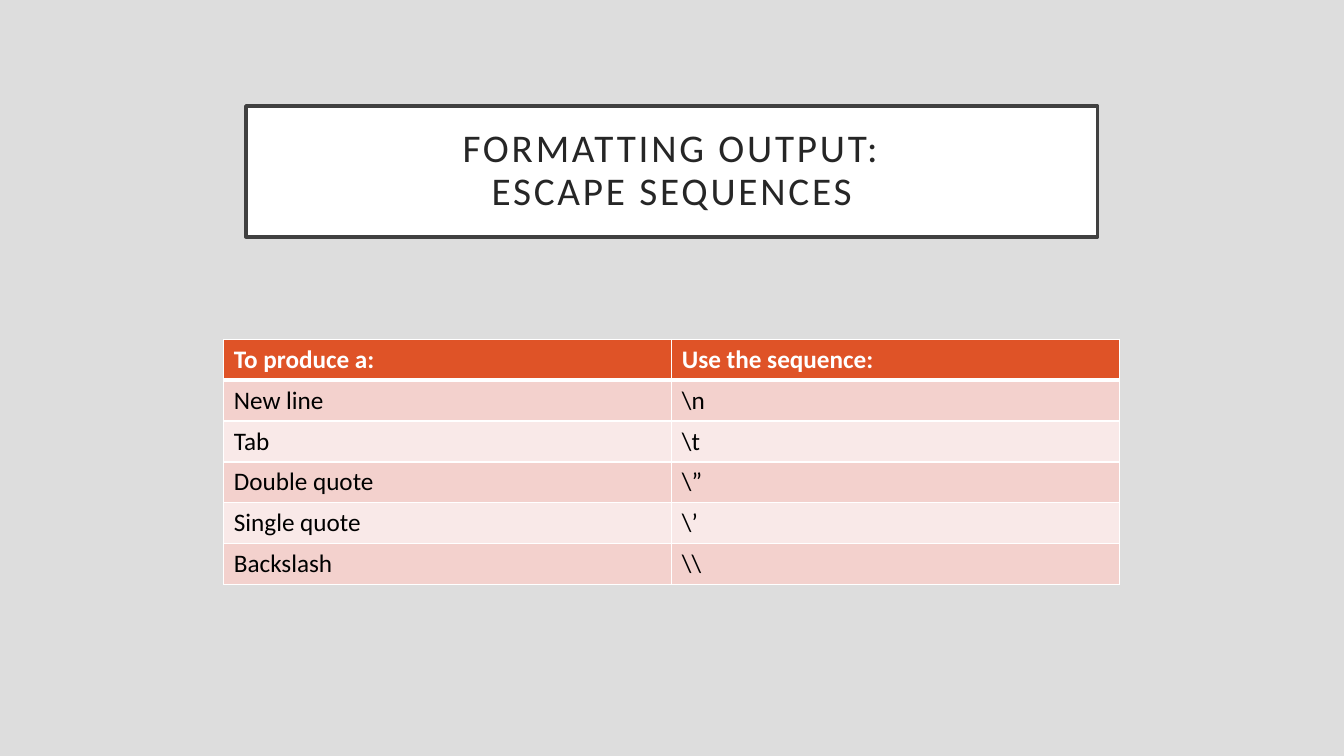
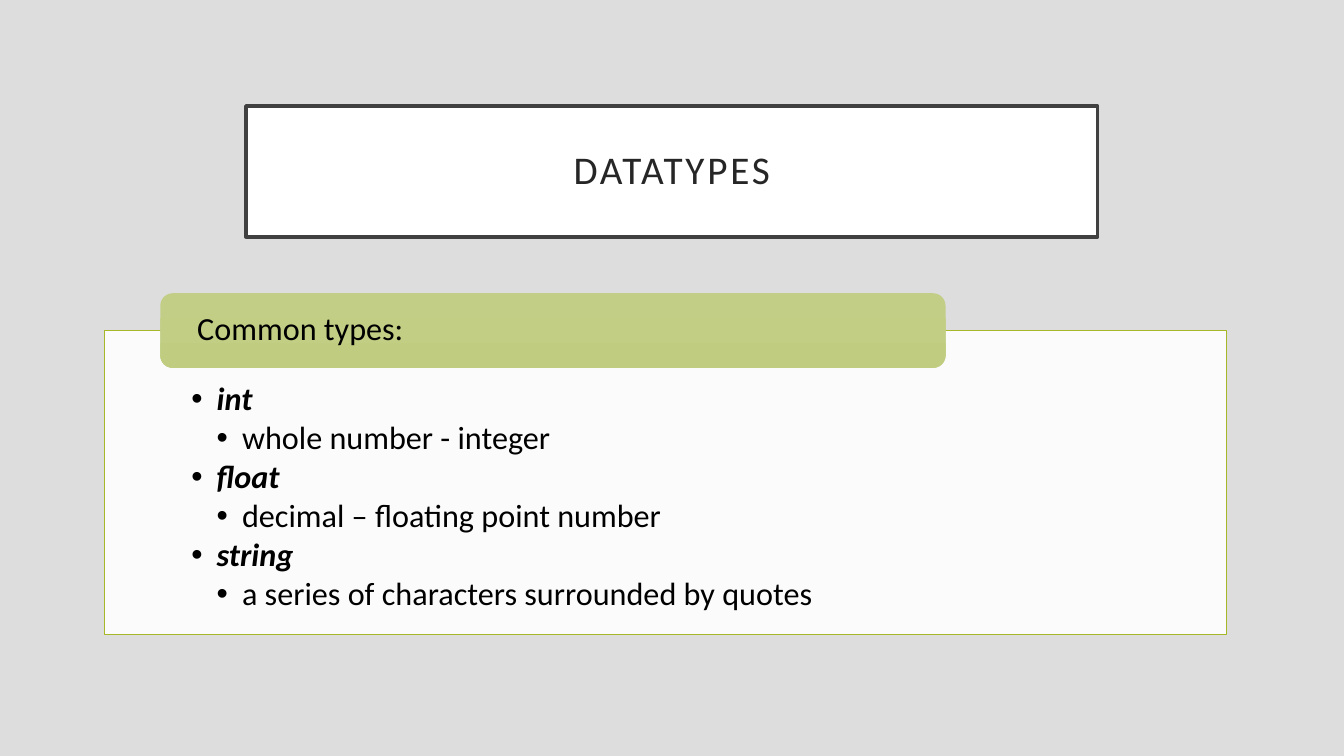
from itertools import product
from lxml.etree import SubElement
from pptx import Presentation
from pptx.dml.color import RGBColor
from pptx.enum.shapes import MSO_SHAPE as Shape
from pptx.enum.text import MSO_ANCHOR as Anchor, MSO_AUTO_SIZE as AutoSize, PP_ALIGN as Align
from pptx.oxml.ns import qn
from pptx.util import Cm, Pt

FONT = "Calibri"
BACKGROUND, WHITE, BLACK = "DDDDDD", "FFFFFF", "000000"
TITLE_LINE, TITLE_TEXT = "404040", "262626"
HEADER, BANDS = "DF5327", ("F9E9E8", "F3D1CD")
PANEL_LINE, TAB_STOPS = "A6B727", ("C2CE86", "C0CD80")
TITLE_ONLY, TITLE_AND_BODY = 5, 1


def color(code):
    """Turn a hex string into a colour."""
    return RGBColor.from_string(code)


class SlideBuilder:
    """Hold the shared style and the current slide."""

    def __init__(self):
        """Start a wide deck with a plain background."""
        self.deck = Presentation()
        self.deck.slide_width, self.deck.slide_height = Cm(33.87), Cm(19.05)
        self.paint(self.deck.slide_master.background, BACKGROUND)

    def paint(self, target, code):
        """Fill a target with one colour."""
        target.fill.solid()
        target.fill.fore_color.rgb = color(code)

    def outline(self, box, code, width):
        """Draw the outline of a box."""
        box.line.color.rgb = color(code)
        box.line.width = Pt(width)

    def place(self, box, left, top, width, height):
        """Move and size a box in centimetres."""
        box.left, box.top, box.width, box.height = map(Cm, (left, top, width, height))

    def frame(self, box, insets, anchor):
        """Set the insets and anchor of a text frame."""
        text = box.text_frame
        text.word_wrap, text.auto_size = True, AutoSize.NONE
        text.vertical_anchor = anchor
        text.margin_left, text.margin_top, text.margin_right, text.margin_bottom = map(Cm, insets)
        return text

    def format(self, para, size, code, bold=False, italic=False):
        """Format every run of a paragraph."""
        for span in para.runs:
            font = span.font
            font.name, font.size, font.bold, font.italic = FONT, Pt(size), bold, italic
            font.color.rgb = color(code)

    def page(self, layout, title):
        """Add a slide with its framed title."""
        self.slide = self.deck.slides.add_slide(self.deck.slide_layouts[layout])
        box = self.slide.shapes.title
        self.place(box, 6.2, 2.67, 21.46, 3.3)
        self.paint(box, WHITE)
        self.outline(box, TITLE_LINE, 2.5)
        text = self.frame(box, [0.51] * 4, Anchor.MIDDLE)
        text.text = title
        para = text.paragraphs[0]
        para.alignment, para.line_spacing = Align.CENTER, 0.9
        self.format(para, 28, TITLE_TEXT)
        for span in para.runs:
            span.font._element.set("spc", "200")
        for line_break in para._p.findall(qn("a:br")):
            SubElement(line_break, qn("a:rPr"), sz="2800")

    def border(self, cell, side, width):
        """Draw one white cell border."""
        line = SubElement(cell._tc.get_or_add_tcPr(), qn(f"a:ln{side}"), w=str(Pt(width)))
        fill = SubElement(line, qn("a:solidFill"))
        SubElement(fill, qn("a:srgbClr"), val=WHITE)

    def table(self, rows, left, top, width, row_height):
        """Add a banded table with a header row."""
        columns = len(rows[0])
        grid = self.slide.shapes.add_table(
            len(rows), columns, Cm(left), Cm(top), Cm(width), Cm(row_height * len(rows))).table
        for row, column in product(range(len(rows)), range(columns)):
            cell, header = grid.cell(row, column), row == 0
            for side in "LRTB":
                thick = (row, side) in ((0, "B"), (1, "T"))
                self.border(cell, side, 3 if thick else 1)
            self.paint(cell, HEADER if header else BANDS[row % 2])
            cell.text_frame.text = rows[row][column]
            self.format(cell.text_frame.paragraphs[0], 18, WHITE if header else BLACK, bold=header)

    def bullet(self, para, level):
        """Give a paragraph a hanging round bullet."""
        para.level = level
        properties = para._p.get_or_add_pPr()
        properties.set("marL", str(Cm(0.64 * (level + 1))))
        properties.set("indent", str(Cm(-0.64)))
        SubElement(properties, qn("a:buChar"), char="•")

    def panel(self, types, left, top, width, height):
        """Fill the body placeholder with terms and their meanings."""
        box = self.slide.placeholders[1]
        self.place(box, left, top, width, height)
        self.paint(box, WHITE)
        SubElement(box.fill._xPr.find(".//" + qn("a:srgbClr")), qn("a:alpha"), val="90000")
        self.outline(box, PANEL_LINE, 0.5)
        text = self.frame(box, (2.18, 1.32, 2.18, 0.46), Anchor.TOP)
        text.text = "\n".join(line for pair in types for line in pair)
        for index, para in enumerate(text.paragraphs):
            level = index % 2
            para.line_spacing, para.space_before, para.space_after = 0.9, Pt(0), Pt(3)
            self.bullet(para, level)
            self.format(para, 23, BLACK, bold=level == 0, italic=level == 0)

    def tab(self, label, left, top, width, height):
        """Add a rounded heading tab."""
        box = self.slide.shapes.add_shape(
            Shape.ROUNDED_RECTANGLE, Cm(left), Cm(top), Cm(width), Cm(height))
        box.shadow.inherit = False
        box.line.fill.background()
        box.fill.gradient()
        box.fill.gradient_angle = 270
        for stop, code in zip(box.fill.gradient_stops, TAB_STOPS):
            stop.color.rgb = color(code)
        text = self.frame(box, (0.84, 0, 0.84, 0), Anchor.MIDDLE)
        text.text = label
        para = text.paragraphs[0]
        para.alignment, para.line_spacing = Align.LEFT, 0.9
        self.format(para, 23, BLACK)


builder = SlideBuilder()

builder.page(TITLE_ONLY, "FORMATTING OUTPUT:\vESCAPE SEQUENCES")
builder.table([
    ("To produce a:", "Use the sequence:"),
    ("New line", "\\n"),
    ("Tab", "\\t"),
    ("Double quote", "\\”"),
    ("Single quote", "\\’"),
    ("Backslash", "\\\\"),
], 5.64, 8.55, 22.58, 1.03)

builder.page(TITLE_AND_BODY, "DATATYPES")
builder.panel([
    ("int", "whole number - integer"),
    ("float", "decimal – floating point number"),
    ("string", "a series of characters surrounded by quotes"),
], 2.64, 8.33, 28.27, 7.65)
builder.tab("Common types:", 4.04, 7.39, 19.79, 1.88)

builder.deck.save("out.pptx")
